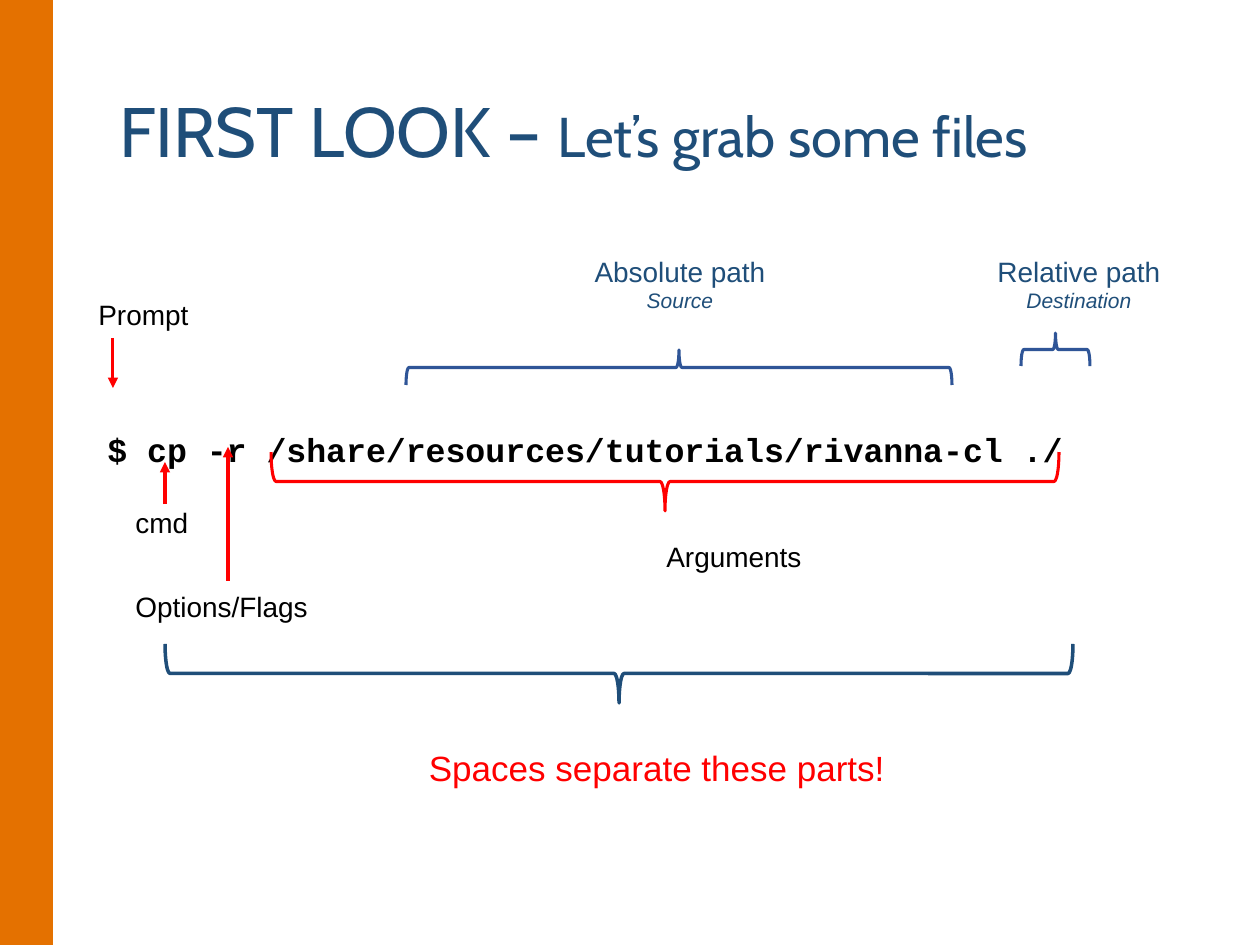
from typing import NamedTuple

from pptx import Presentation
from pptx.dml.color import RGBColor
from pptx.enum.shapes import MSO_CONNECTOR, MSO_SHAPE
from pptx.enum.text import MSO_ANCHOR, PP_ALIGN
from pptx.oxml.ns import qn
from pptx.util import Emu, Pt
from lxml.etree import SubElement

PX_PER_INCH = 126
ORANGE = RGBColor(0xE4, 0x71, 0x00)
NAVY = RGBColor(0x1F, 0x4E, 0x79)
BLUE = RGBColor(0x2F, 0x55, 0x97)
RED = RGBColor(0xFF, 0x00, 0x00)
BLACK = RGBColor(0x00, 0x00, 0x00)


class Run(NamedTuple):
    text: str
    size: int
    italic: bool = False


class Label(NamedTuple):
    text: str
    left: int
    top: int
    width: int


class PathLabel(NamedTuple):
    name: str
    role: str
    left: int
    width: int


class Arrow(NamedTuple):
    x: int
    start_y: int
    end_y: int


class Brace(NamedTuple):
    """The box is the brace as seen, lying on its side."""
    left: int
    top: int
    width: int
    height: int
    points_up: bool
    color: RGBColor
    weight: float


LABELS = [
    Label("Prompt", 86, 291, 125),
    Label("cmd", 123, 499, 79),
    Label("Options/Flags", 123, 583, 205),
    Label("Arguments", 654, 533, 163),
]
PATH_LABELS = [
    PathLabel("Absolute path", "Source", 581, 198),
    PathLabel("Relative path", "Destination", 984, 190),
]
ARROWS = [Arrow(165, 504, 462), Arrow(228, 581, 447), Arrow(113, 338, 388)]
BRACES = [
    Brace(406, 350, 546, 35, True, BLUE, 1.75),
    Brace(1021, 333, 69, 33, True, BLUE, 1.75),
    Brace(271, 452, 788, 59, False, RED, 1.75),
    Brace(165, 644, 908, 59, False, NAVY, 2),
]


def px(length: float) -> Emu:
    return Emu(round(length * 914400 / PX_PER_INCH))


def add_text(slide, paragraphs: list[list[Run]], left: int, top: int,
             width: int, height: int, *, color: RGBColor = BLACK,
             font: str = "Arial", bold: bool = False,
             align: PP_ALIGN = PP_ALIGN.LEFT,
             anchor: MSO_ANCHOR = MSO_ANCHOR.TOP,
             line_spacing: float = 1.0) -> None:
    box = slide.shapes.add_textbox(px(left), px(top), px(width), px(height))
    frame = box.text_frame
    frame.word_wrap = True
    frame.vertical_anchor = anchor
    for index, runs in enumerate(paragraphs):
        paragraph = frame.add_paragraph() if index else frame.paragraphs[0]
        paragraph.alignment = align
        paragraph.line_spacing = line_spacing
        for item in runs:
            run = paragraph.add_run()
            run.text = item.text
            run.font.name = font
            run.font.size = Pt(item.size)
            run.font.bold = bold
            run.font.italic = item.italic
            run.font.color.rgb = color


def add_arrow(slide, arrow: Arrow) -> None:
    connector = slide.shapes.add_connector(
        MSO_CONNECTOR.STRAIGHT, px(arrow.x), px(arrow.start_y),
        px(arrow.x), px(arrow.end_y))
    connector.line.color.rgb = RED
    connector.line.width = Pt(1.75)
    SubElement(connector.line._get_or_add_ln(), qn("a:tailEnd"), type="triangle")
    SubElement(connector._element.spPr, qn("a:effectLst"))


def add_brace(slide, brace: Brace) -> None:
    """Swap width and height about the centre, then turn the upright brace."""
    shift = (brace.width - brace.height) / 2
    shape = slide.shapes.add_shape(
        MSO_SHAPE.RIGHT_BRACE, px(brace.left + shift), px(brace.top - shift),
        px(brace.height), px(brace.width))
    shape.rotation = 270 if brace.points_up else 90
    shape.shadow.inherit = False
    shape.fill.background()
    shape.line.color.rgb = brace.color
    shape.line.width = Pt(brace.weight)


def add_side_bar(slide) -> None:
    bar = slide.shapes.add_shape(MSO_SHAPE.RECTANGLE, 0, 0, px(53), px(945))
    bar.shadow.inherit = False
    bar.fill.solid()
    bar.fill.fore_color.rgb = ORANGE
    bar.line.fill.background()


def main() -> None:
    presentation = Presentation()
    presentation.slide_width = px(1260)
    presentation.slide_height = px(945)
    slide = presentation.slides.add_slide(presentation.slide_layouts[6])

    add_side_bar(slide)
    add_text(slide, [[Run("FIRST LOOK – ", 40), Run("Let’s grab some files", 32)]],
             107, 43, 1087, 183, color=NAVY, font="Cabin",
             anchor=MSO_ANCHOR.MIDDLE, line_spacing=0.9)
    add_text(slide, [[Run("$ cp -r /share/resources/tutorials/rivanna-cl ./", 19)]],
             95, 424, 1124, 50, font="Courier New", bold=True,
             anchor=MSO_ANCHOR.MIDDLE)
    add_text(slide, [[Run("Spaces separate these parts!", 20)]],
             95, 743, 1124, 50, color=RED, align=PP_ALIGN.CENTER,
             anchor=MSO_ANCHOR.MIDDLE)

    for label in LABELS:
        add_text(slide, [[Run(label.text, 16)]],
                 label.left, label.top, label.width, 47)
    for label in PATH_LABELS:
        add_text(slide, [[Run(label.name, 16)], [Run(label.role, 12, italic=True)]],
                 label.left, 248, label.width, 72, color=NAVY,
                 align=PP_ALIGN.CENTER)
    for arrow in ARROWS:
        add_arrow(slide, arrow)
    for brace in BRACES:
        add_brace(slide, brace)

    presentation.save("out.pptx")


if __name__ == "__main__":
    main()
